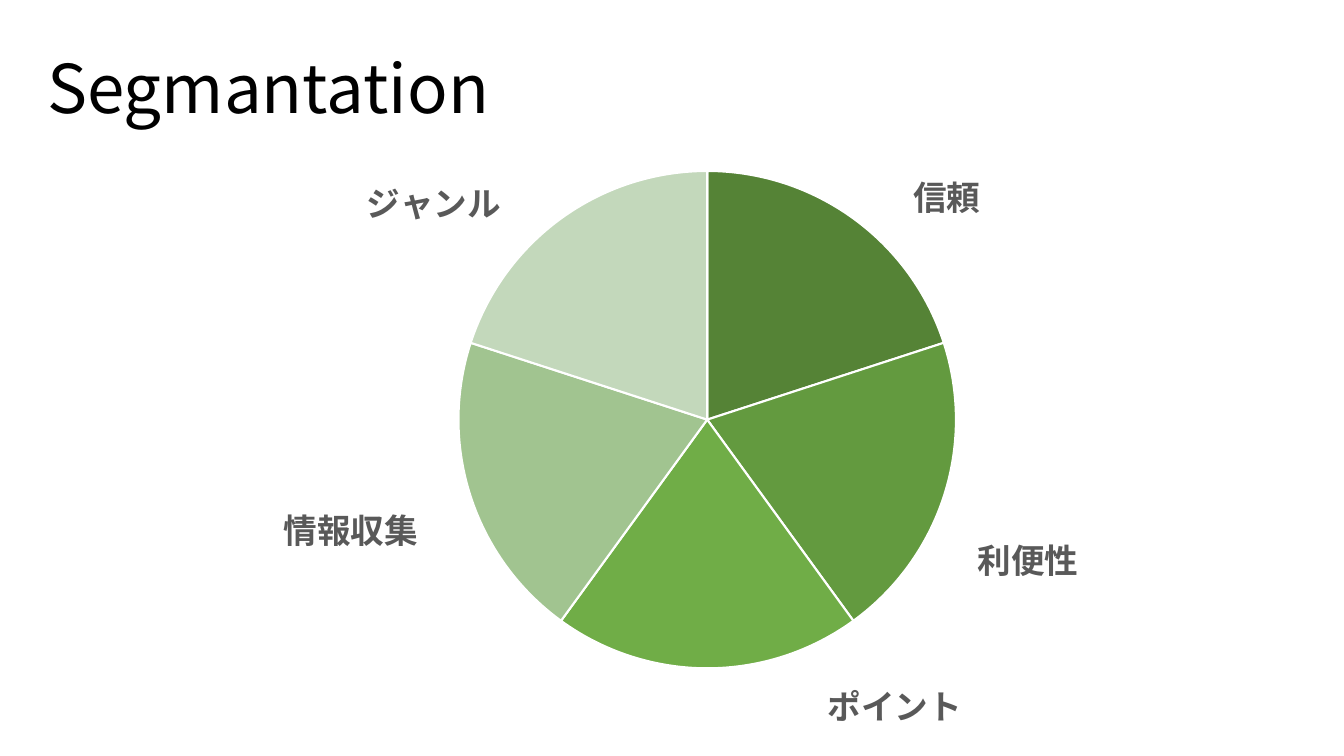
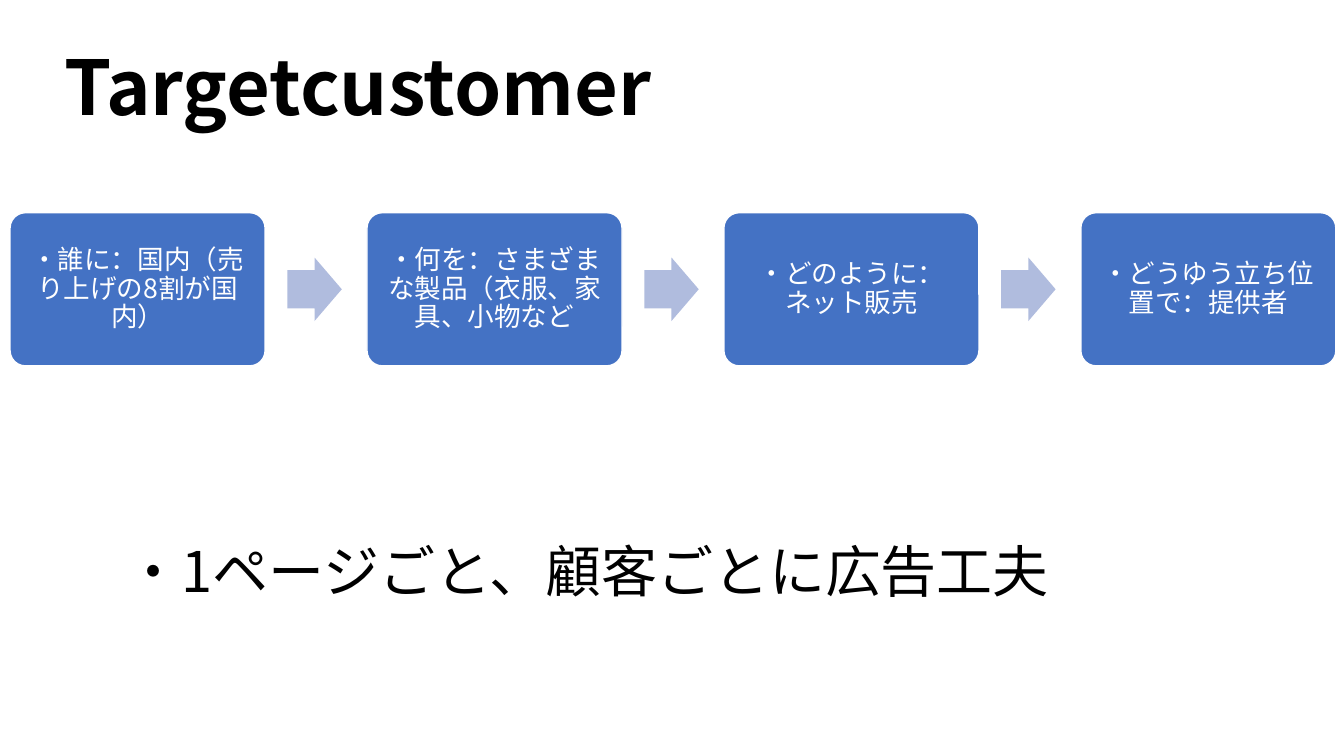
from lxml import etree
from pptx import Presentation
from pptx.chart.data import CategoryChartData
from pptx.dml.color import RGBColor
from pptx.enum.chart import XL_CHART_TYPE, XL_LABEL_POSITION
from pptx.enum.shapes import MSO_SHAPE
from pptx.enum.text import MSO_ANCHOR, MSO_AUTO_SIZE, PP_ALIGN
from pptx.oxml import parse_xml
from pptx.oxml.ns import nsdecls, qn
from pptx.util import Inches, Pt

FONT = "Noto Sans CJK JP"
LINE_HEIGHT = 1.18
COLORS = {
    "text": "000000",
    "label": "595959",
    "white": "FFFFFF",
    "box": "4472C4",
    "arrow": "B0BCDE",
}
SEGMENTS = [
    ("信頼", "558336", 0.06, 0.01),
    ("利便性", "639A3F", 0.03, 0.06),
    ("ポイント", "70AD47", 0.2, 0.01),
    ("情報収集", "A1C490", -0.05, 0.01),
    ("ジャンル", "C3D8BB", -0.06, 0.02),
]
STEPS = [
    "・誰に：国内（売り上げの8割が国内）",
    "・何を：さまざまな製品（衣服、家具、小物など",
    "・どのように：ネット販売",
    "・どうゆう立ち位置で：提供者",
]


def write(shape, text, size, color="text", bold=False, align=PP_ALIGN.LEFT,
          anchor=MSO_ANCHOR.TOP, spacing=LINE_HEIGHT, inset=None):
    frame = shape.text_frame
    frame.word_wrap = True
    frame.auto_size = MSO_AUTO_SIZE.NONE
    frame.vertical_anchor = anchor
    if inset is not None:
        frame.margin_left = frame.margin_right = Inches(inset)
        frame.margin_top = frame.margin_bottom = Inches(inset)
    frame.text = text
    paragraph = frame.paragraphs[0]
    paragraph.alignment = align
    paragraph.line_spacing = Pt(round(size * spacing, 1))
    font = paragraph.runs[0].font
    font.name = FONT
    font.size = Pt(size)
    font.bold = bold
    font.color.rgb = RGBColor.from_string(COLORS[color])


def add_titled_slide(title, left, top, width, height, **text_format):
    slide = presentation.slides.add_slide(presentation.slide_layouts[5])
    shape = slide.shapes.title
    shape.left, shape.top = Inches(left), Inches(top)
    shape.width, shape.height = Inches(width), Inches(height)
    write(shape, title, **text_format)
    return slide


presentation = Presentation()
presentation.slide_width = Inches(13.33)
presentation.slide_height = Inches(7.5)

segment_slide = add_titled_slide("Segmantation", 0.37, 0.42, 9.98, 0.91, size=48)

chart_data = CategoryChartData()
chart_data.categories = [name for name, *rest in SEGMENTS]
chart_data.add_series("Series 1", [20] * len(SEGMENTS))
chart = segment_slide.shapes.add_chart(
    XL_CHART_TYPE.PIE, Inches(2.22), Inches(1.26), Inches(9.31), Inches(6.05), chart_data
).chart
chart.has_legend = False
chart.has_title = False
chart.font.name = FONT
chart.font.size = Pt(10)
chart.plots[0].vary_by_categories = True

plot_area = chart.element.find(".//" + qn("c:plotArea"))
for old_layout in plot_area.findall(qn("c:layout")):
    plot_area.remove(old_layout)
plot_area.insert(0, parse_xml(
    f'<c:layout {nsdecls("c")}><c:manualLayout><c:layoutTarget val="inner"/>'
    '<c:xMode val="edge"/><c:yMode val="edge"/><c:x val="0.25"/><c:y val="0.07"/>'
    '<c:w val="0.53"/><c:h val="0.82"/></c:manualLayout></c:layout>'
))

series = chart.plots[0].series[0]
labels = series.data_labels
labels.show_value = False
labels.show_category_name = True
labels.position = XL_LABEL_POSITION.OUTSIDE_END

for index, (name, color, shift_x, shift_y) in enumerate(SEGMENTS):
    point = series.points[index]
    point.format.fill.solid()
    point.format.fill.fore_color.rgb = RGBColor.from_string(color)
    point.format.line.color.rgb = RGBColor.from_string(COLORS["white"])
    point.format.line.width = Pt(1.5)
    label = point.data_label
    label.position = XL_LABEL_POSITION.OUTSIDE_END
    label.font.name = FONT
    label.font.size = Pt(24)
    label.font.bold = True
    label.font.color.rgb = RGBColor.from_string(COLORS["label"])

for label, (name, color, shift_x, shift_y) in zip(
        chart.element.findall(".//" + qn("c:dLbl")), SEGMENTS):
    label.find(qn("c:showVal")).set("val", "0")
    label.find(qn("c:showCatName")).set("val", "1")
    label.find(qn("c:idx")).addnext(parse_xml(
        f'<c:layout {nsdecls("c")}><c:manualLayout>'
        f'<c:x val="{shift_x}"/><c:y val="{shift_y}"/></c:manualLayout></c:layout>'
    ))
for leader_lines in chart.element.iter(qn("c:showLeaderLines")):
    leader_lines.set("val", "0")

target_slide = add_titled_slide("Targetcustomer", 0.54, 0.36, 6.51, 1.01, size=54, bold=True)

MARGIN, BOX_TOP, BOX_WIDTH, BOX_HEIGHT = 0.1, 2.11, 2.53, 1.52
STEP_WIDTH = 3.54
ARROW_WIDTH, ARROW_HEIGHT, ARROW_GAP = 0.54, 0.63, 0.22

for index, text in enumerate(STEPS):
    left = MARGIN + index * STEP_WIDTH
    box = target_slide.shapes.add_shape(
        MSO_SHAPE.ROUNDED_RECTANGLE, Inches(left), Inches(BOX_TOP),
        Inches(BOX_WIDTH), Inches(BOX_HEIGHT))
    box.adjustments[0] = 0.1
    box.shadow.inherit = False
    box.fill.solid()
    box.fill.fore_color.rgb = RGBColor.from_string(COLORS["box"])
    box.line.color.rgb = RGBColor.from_string(COLORS["white"])
    box.line.width = Pt(1)
    write(box, text, size=19, color="white", align=PP_ALIGN.CENTER,
          anchor=MSO_ANCHOR.MIDDLE, spacing=LINE_HEIGHT * 0.91, inset=0.12)
    if index < len(STEPS) - 1:
        arrow = target_slide.shapes.add_shape(
            MSO_SHAPE.RIGHT_ARROW, Inches(left + BOX_WIDTH + ARROW_GAP),
            Inches(BOX_TOP + (BOX_HEIGHT - ARROW_HEIGHT) / 2),
            Inches(ARROW_WIDTH), Inches(ARROW_HEIGHT))
        arrow.adjustments[0] = 0.6
        arrow.adjustments[1] = 0.5
        arrow.shadow.inherit = False
        arrow.fill.solid()
        arrow.fill.fore_color.rgb = RGBColor.from_string(COLORS["arrow"])
        arrow.line.fill.background()

message = target_slide.shapes.add_textbox(Inches(1.15), Inches(5.28), Inches(9.61), Inches(1.4))
write(message, "・1ページごと、顧客ごとに広告工夫", size=40)

for root in (segment_slide.element, target_slide.element, chart.element):
    for latin in list(root.iter(qn("a:latin"))):
        east_asian = etree.Element(qn("a:ea"), typeface=FONT)
        latin.addnext(east_asian)

presentation.save("out.pptx")
